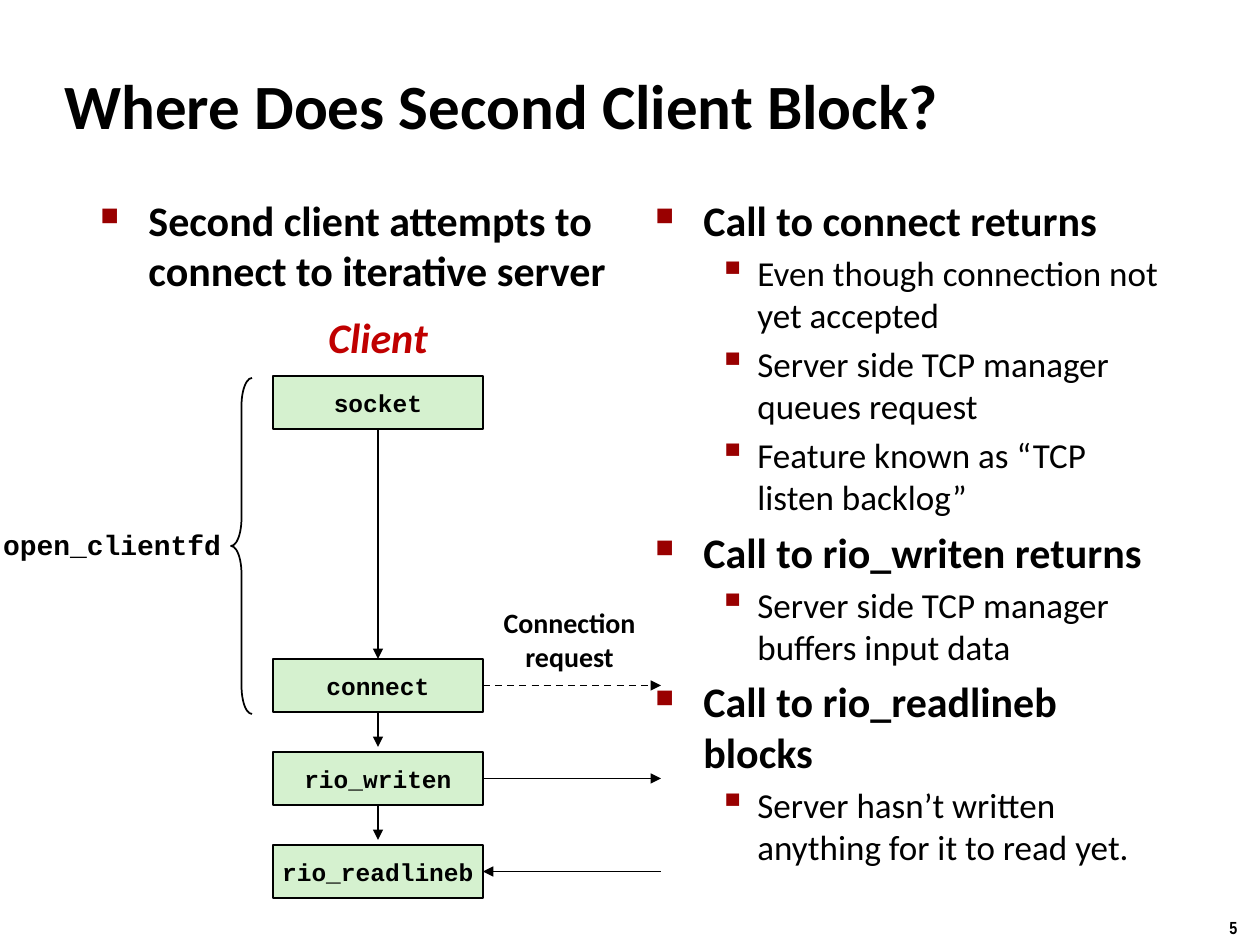
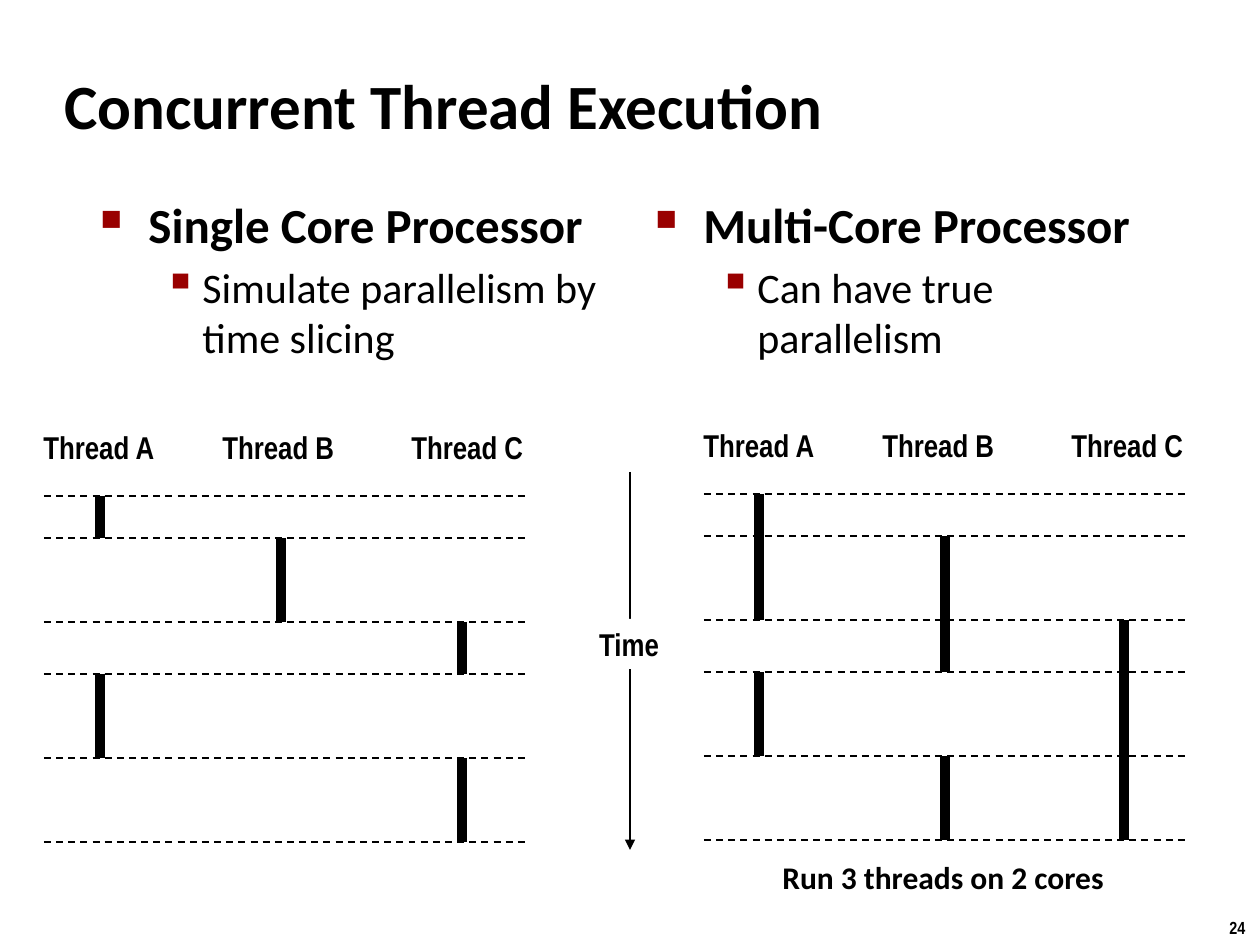
from lxml import etree
from pptx import Presentation
from pptx.dml.color import RGBColor
from pptx.enum.dml import MSO_LINE
from pptx.enum.shapes import MSO_CONNECTOR, MSO_SHAPE
from pptx.enum.text import MSO_ANCHOR, PP_ALIGN
from pptx.oxml.ns import qn
from pptx.util import Pt

DASH = MSO_LINE.DASH
STRAIGHT = MSO_CONNECTOR.STRAIGHT
RECTANGLE, LEFT_BRACE = MSO_SHAPE.RECTANGLE, MSO_SHAPE.LEFT_BRACE
TOP, MIDDLE = MSO_ANCHOR.TOP, MSO_ANCHOR.MIDDLE
LEFT, CENTER = PP_ALIGN.LEFT, PP_ALIGN.CENTER
SIDE_TOP, SIDE_BOTTOM, SIDE_RIGHT = 0, 2, 3

BLACK = RGBColor(0, 0, 0)
WHITE = RGBColor(0xFF, 0xFF, 0xFF)
CLIENT_RED = RGBColor(0xC0, 0, 0)
BULLET_RED = RGBColor(0x99, 0, 0)
STEP_GREEN = RGBColor(0xD5, 0xF1, 0xCF)
BODY_FONT, CODE_FONT, LABEL_FONT = "Calibri", "Courier New", "Arial Narrow"

# Shared layout, in px
PX_PER_INCH = 126
SLIDE_SIZE = (1260, 945)
TITLE_AREA = (52, 52, 1046, 104)
NUMBER_AREA = (1217, 911, 43, 34)
COLUMN_LEFTS = (88, 643)
COLUMN_TOP, COLUMN_WIDTH = 188, 533

# Per bullet level: character, percent of text size, left margin, hanging indent
BULLETS = [("■", 60, 48, -48), ("▪", 110, 102, -39)]

# Slide content: columns hold (level, text)
BLOCKING = {
    "title": "Where Does Second Client Block?",
    "number": "5",
    "sizes": (24, 20),
    "heights": (149, 685),
    "columns": [
        [(0, "Second client attempts to connect to iterative server")],
        [
            (0, "Call to connect returns"),
            (1, "Even though connection not yet accepted"),
            (1, "Server side TCP manager queues request"),
            (1, "Feature known as “TCP listen backlog”"),
            (0, "Call to rio_writen returns"),
            (1, "Server side TCP manager buffers input data"),
            (0, "Call to rio_readlineb blocks"),
            (1, "Server hasn’t written anything for it to read yet."),
        ],
    ],
}
THREADS = {
    "title": "Concurrent Thread Execution",
    "number": "24",
    "sizes": (28, 24),
    "heights": (685, 685),
    "columns": [
        [(0, "Single Core Processor"), (1, "Simulate parallelism by time slicing")],
        [(0, "Multi-Core Processor"), (1, "Can have true parallelism")],
    ],
}

# Client steps: name and top
CLIENT_STEPS = [("socket", 376), ("connect", 659), ("rio_writen", 752), ("rio_readlineb", 845)]
STEP_LEFT, STEP_WIDTH, STEP_HEIGHT = 273, 210, 53
ARROW_GAP = 5
SERVER_X = 661

# Thread timelines: runs are (thread, first level, last level)
THREAD_NAMES = ["Thread A", "Thread B", "Thread C"]
NAME_OFFSETS = (-13, 166, 355)
TIME_LEVELS = (0, 42, 126, 178, 262, 346)
LEVEL_WIDTH = 481
TIMELINES = [
    {"origin": (44, 496), "tracks": (56, 237, 418),
     "runs": [(0, 0, 1), (1, 1, 2), (2, 2, 3), (0, 3, 4), (2, 4, 5)]},
    {"origin": (704, 494), "tracks": (55, 241, 420),
     "runs": [(0, 0, 2), (1, 1, 3), (2, 2, 5), (0, 3, 4), (1, 4, 5)]},
]


def px(length):
    return round(length * 914400 / PX_PER_INCH)


def add_bullet(paragraph, level):
    character, percent, margin, indent = BULLETS[level]
    properties = paragraph._p.get_or_add_pPr()
    properties.set("marL", str(px(margin)))
    properties.set("indent", str(px(indent)))
    if level:
        properties.set("lvl", str(level))
    spacing = etree.SubElement(properties, qn("a:spcBef"))
    etree.SubElement(spacing, qn("a:spcPct"), val="20000")
    color = etree.SubElement(properties, qn("a:buClr"))
    etree.SubElement(color, qn("a:srgbClr"), val=str(BULLET_RED))
    etree.SubElement(properties, qn("a:buSzPct"), val=str(percent * 1000))
    etree.SubElement(properties, qn("a:buChar"), char=character)


def write_line(paragraph, text, size, font=BODY_FONT, color=BLACK, bold=True,
               italic=False, align=LEFT):
    paragraph.alignment = align
    run = paragraph.add_run()
    run.text = text
    run.font.size = Pt(size)
    run.font.name = font
    run.font.bold = bold
    run.font.italic = italic
    run.font.color.rgb = color


def write(frame, text, anchor=TOP, wrap=False, **style):
    frame.word_wrap = wrap
    frame.vertical_anchor = anchor
    for index, line in enumerate(text.split("\n")):
        paragraph = frame.add_paragraph() if index else frame.paragraphs[0]
        write_line(paragraph, line, **style)


def add_label(slide, area, text, **style):
    frame = slide.shapes.add_textbox(*map(px, area)).text_frame
    write(frame, text, **style)


def add_block(slide, preset, area, fill=None, outline=BLACK):
    block = slide.shapes.add_shape(preset, *map(px, area))
    block.shadow.inherit = False
    if fill is None:
        block.fill.background()
    else:
        block.fill.solid()
        block.fill.fore_color.rgb = fill
    if outline is None:
        block.line.fill.background()
    else:
        block.line.color.rgb = outline
        block.line.width = Pt(1)
    return block


def add_line(slide, start, end, width=1, dash=None, arrow=False):
    line = slide.shapes.add_connector(STRAIGHT, *map(px, (*start, *end)))
    line.line.color.rgb = BLACK
    line.line.width = Pt(width)
    if dash is not None:
        line.line.dash_style = dash
    if arrow:
        etree.SubElement(line.line._get_or_add_ln(), qn("a:tailEnd"), type="triangle")
    etree.SubElement(line._element.spPr, qn("a:effectLst"))
    return line


def add_base(deck, content):
    """Add a slide with its page number, title and two bulleted columns."""
    slide = deck.slides.add_slide(deck.slide_layouts[6])
    add_label(slide, NUMBER_AREA, content["number"], size=10, font=LABEL_FONT)
    add_label(slide, TITLE_AREA, content["title"], size=36, anchor=MIDDLE, wrap=True)
    for left, height, items in zip(COLUMN_LEFTS, content["heights"], content["columns"]):
        area = (left, COLUMN_TOP, COLUMN_WIDTH, height)
        frame = slide.shapes.add_textbox(*map(px, area)).text_frame
        frame.word_wrap = True
        for index, (level, text) in enumerate(items):
            paragraph = frame.add_paragraph() if index else frame.paragraphs[0]
            write_line(paragraph, text, content["sizes"][level], bold=level == 0)
            add_bullet(paragraph, level)
    return slide


def draw_client_flow(slide):
    add_label(slide, (315, 305, 126, 63), "Client", size=24, color=CLIENT_RED,
              italic=True, align=CENTER, anchor=MIDDLE)

    # Step boxes
    steps = []
    for name, top in CLIENT_STEPS:
        step = add_block(slide, RECTANGLE, (STEP_LEFT, top, STEP_WIDTH, STEP_HEIGHT), STEP_GREEN)
        write(step.text_frame, name, size=14, font=CODE_FONT, align=CENTER, anchor=MIDDLE)
        steps.append(step)
    tops = [top for _, top in CLIENT_STEPS]
    center_x = STEP_LEFT + STEP_WIDTH // 2
    right_x = STEP_LEFT + STEP_WIDTH

    # Arrows down the client; only the first reaches the next box
    for index in range(len(steps) - 1):
        end_y = tops[index + 1] - (ARROW_GAP if index else 0)
        arrow = add_line(slide, (center_x, tops[index] + STEP_HEIGHT), (center_x, end_y), arrow=True)
        arrow.begin_connect(steps[index], SIDE_BOTTOM)
        if index == 0:
            arrow.end_connect(steps[1], SIDE_TOP)

    # Exchanges with the server
    for index, (dash, incoming) in enumerate([(DASH, False), (None, False), (None, True)], 1):
        middle_y = tops[index] + STEP_HEIGHT / 2
        client, server = (right_x, middle_y), (SERVER_X, middle_y)
        if incoming:
            arrow = add_line(slide, server, client, dash=dash, arrow=True)
            arrow.end_connect(steps[index], SIDE_RIGHT)
        else:
            arrow = add_line(slide, client, server, dash=dash, arrow=True)
            arrow.begin_connect(steps[index], SIDE_RIGHT)
    add_label(slide, (490, 599, 159, 81), "Connection\nrequest", size=16,
              align=CENTER, anchor=MIDDLE)

    # Helper that spans the first two steps
    brace = add_block(slide, LEFT_BRACE, (231, 378, 21, 336))
    brace.adjustments[0] = 1.33
    add_label(slide, (-10, 521, 244, 47), "open_clientfd", size=16, font=CODE_FONT,
              align=CENTER, anchor=MIDDLE)


def draw_timeline(slide, timeline):
    left, top = timeline["origin"]
    for name, offset in zip(THREAD_NAMES, NAME_OFFSETS):
        add_label(slide, (left + offset, top - 74, 138, 50), name, size=18, font=LABEL_FONT)
    for thread, first, last in timeline["runs"]:
        x = left + timeline["tracks"][thread]
        add_line(slide, (x, top + TIME_LEVELS[first]), (x, top + TIME_LEVELS[last]), width=6)
    for level in TIME_LEVELS:
        add_line(slide, (left, top + level), (left + LEVEL_WIDTH, top + level), dash=DASH)


def draw_time_axis(slide):
    add_line(slide, (630, 472), (630, 850), arrow=True)
    time = add_block(slide, RECTANGLE, (586, 619, 86, 50), WHITE, outline=None)
    write(time.text_frame, "Time", size=18, font=LABEL_FONT, align=CENTER)


def main():
    deck = Presentation()
    deck.slide_width, deck.slide_height = map(px, SLIDE_SIZE)

    draw_client_flow(add_base(deck, BLOCKING))

    threads = add_base(deck, THREADS)
    draw_time_axis(threads)
    for timeline in TIMELINES:
        draw_timeline(threads, timeline)
    add_label(threads, (770, 852, 350, 50), "Run 3 threads on 2 cores", size=18)

    deck.save("out.pptx")


if __name__ == "__main__":
    main()
